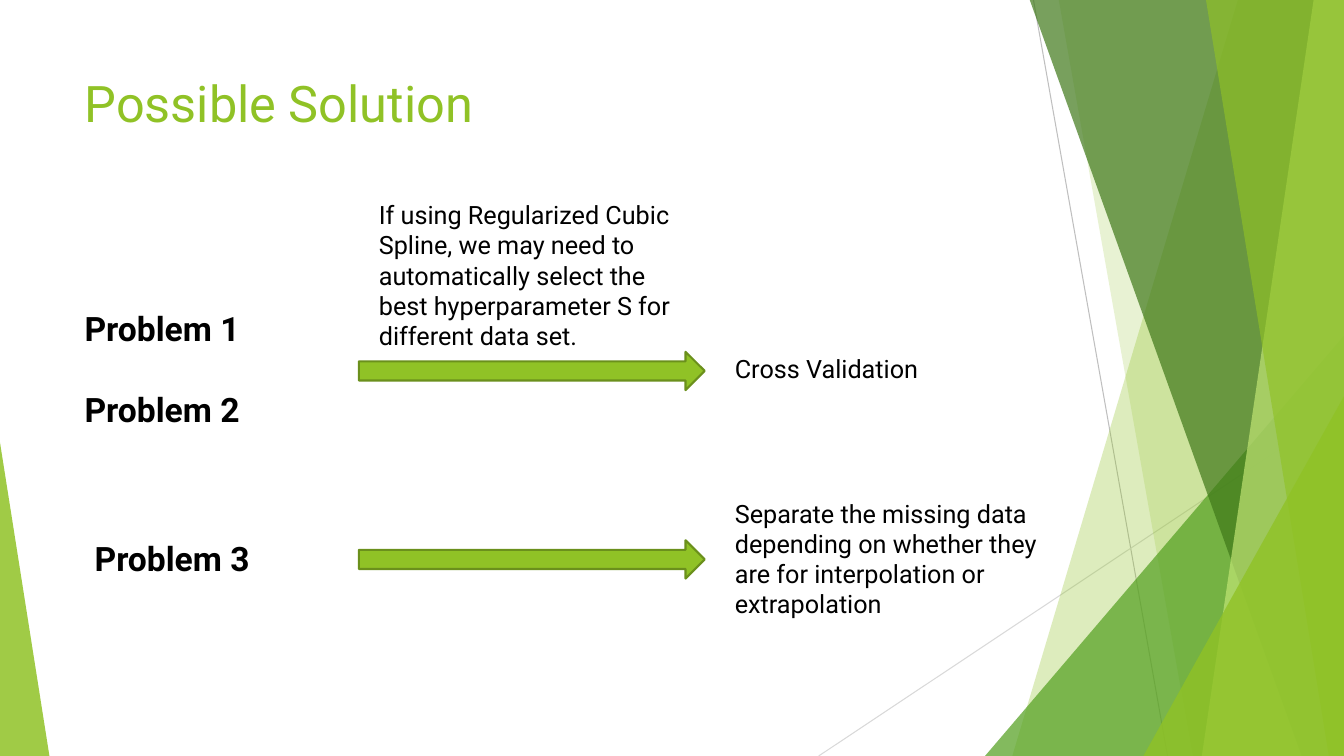
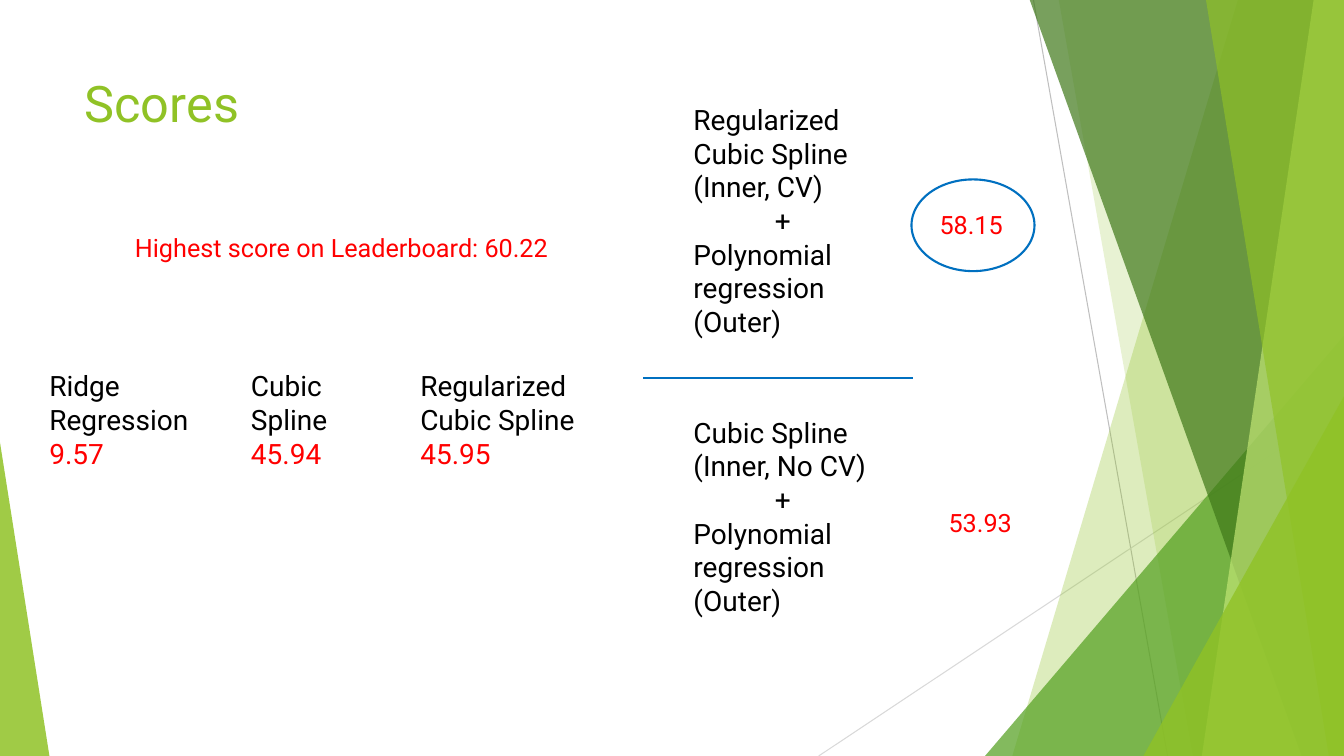
from lxml import etree
from pptx import Presentation
from pptx.dml.color import RGBColor
from pptx.enum.shapes import MSO_CONNECTOR, MSO_SHAPE
from pptx.enum.text import MSO_ANCHOR, MSO_AUTO_SIZE, PP_ALIGN
from pptx.oxml.ns import qn
from pptx.util import Inches, Pt

STRAIGHT = MSO_CONNECTOR.STRAIGHT
TRIANGLE, ARROW, OVAL = MSO_SHAPE.ISOSCELES_TRIANGLE, MSO_SHAPE.RIGHT_ARROW, MSO_SHAPE.OVAL
LEFT, CENTER = PP_ALIGN.LEFT, PP_ALIGN.CENTER
FONT = "Roboto"
LIME, DARK_LIME, BLACK, RED, BLUE = "90C226", "6B901C", "000000", "FF0000", "0070C0"
WIDTH, HEIGHT = 13.33, 7.5

color = RGBColor.from_string


def paint(shape, fill=None, opacity=100, line=None, width=1.5):
    """Fill and outline a shape or connector, without a shadow."""
    properties = shape.element.spPr
    if line:
        shape.line.color.rgb = color(line)
        shape.line.width = Pt(width)
    else:
        shape.line.fill.background()
    if fill:
        shape.fill.solid()
        shape.fill.fore_color.rgb = color(fill)
        if opacity < 100:
            tint = properties.find(qn("a:solidFill"))[0]
            etree.SubElement(tint, qn("a:alpha")).set("val", str(opacity * 1000))
    elif hasattr(shape, "fill"):
        shape.fill.background()
    etree.SubElement(properties, qn("a:effectLst"))


def write(box, lines, size, ink=BLACK, bold=False, wrap=True, gap=0):
    """Write one paragraph per line; a line is (text, colour or None, alignment)."""
    frame = box.text_frame
    settings = {"word_wrap": wrap, "auto_size": MSO_AUTO_SIZE.NONE,
                "vertical_anchor": MSO_ANCHOR.TOP}
    for name, value in settings.items():
        setattr(frame, name, value)
    for index, (text, line_ink, alignment) in enumerate(lines):
        para = frame.add_paragraph() if index else frame.paragraphs[0]
        para.alignment = alignment
        para.space_before = Pt(gap if index else 0)
        span = para.add_run()
        span.text = text
        for name, value in {"name": FONT, "size": Pt(size), "bold": bold}.items():
            setattr(span.font, name, value)
        span.font.color.rgb = color(line_ink or ink)


deck = Presentation()
deck.slide_width, deck.slide_height = Inches(WIDTH), Inches(HEIGHT)
layout = deck.slide_layouts[5]
title_frame = {"left": 0.74, "top": 0.67, "width": 9.4, "height": 1.44}
for name, value in title_frame.items():
    setattr(layout.placeholders[0], name, Inches(value))

solution = deck.slides.add_slide(layout)
scores = deck.slides.add_slide(layout)
for page, title in ((solution, "Possible Solution"), (scores, "Scores")):
    write(page.shapes.title, [(title, None, LEFT)], 36, LIME)

# Shared decoration: drawn in order, then moved to the layout
decoration = []
for start_x, start_y, end_x, end_y, gray in (
    (10.25, 0, 11.58, HEIGHT, "BFBFBF"),
    (WIDTH, 4.03, 8.12, HEIGHT, "D9D9D9"),
):
    ray = solution.shapes.add_connector(
        STRAIGHT, Inches(start_x), Inches(start_y), Inches(end_x), Inches(end_y))
    paint(ray, line=gray, width=0.75)
    decoration.append(ray)

# Bands reach the right edge: (top x, bottom x, fill, opacity)
# Triangles: (left, top, width, apex, fill, opacity)
for facet in (
    (12.28, 10.04, LIME, 30),
    (10.5, 11.83, LIME, 20),
    (9.77, 3.33, 3.56, 1, "54A021", 72),
    (10.21, 12.91, "3F7819", 70),
    (13.03, 11.92, "C0E474", 70),
    (11.96, 13.18, LIME, 65),
    (11.34, 3.93, 1.99, 1, LIME, 80),
    (0, 4.39, 0.49, 0, LIME, 85),
):
    *outline, fill, opacity = facet
    if len(outline) == 2:
        top_x, bottom_x = outline
        builder = solution.shapes.build_freeform(Inches(top_x), Inches(-0.01))
        corners = [(WIDTH, -0.01), (WIDTH, HEIGHT), (bottom_x, HEIGHT)]
        builder.add_line_segments([(Inches(x), Inches(y)) for x, y in corners], close=True)
        shape = builder.convert_to_shape()
    else:
        left, top, width, apex = outline
        shape = solution.shapes.add_shape(
            TRIANGLE, Inches(left), Inches(top), Inches(width), Inches(HEIGHT - top))
        shape.adjustments[0] = apex
    paint(shape, fill, opacity)
    decoration.append(shape)

for number, shape in enumerate(decoration, start=100):
    shape.element.xpath(".//p:cNvPr")[0].set("id", str(number))
    layout.shapes.element.append(shape.element)

# Possible Solution
for top in (3.49, 5.36):
    arrow = solution.shapes.add_shape(
        ARROW, Inches(3.56), Inches(top), Inches(3.43), Inches(0.38))
    paint(arrow, LIME, line=DARK_LIME)

for left, top, width, height, texts, size, bold in (
    (0.74, 3.01, 3.43, 1.31, ["Problem 1", "Problem 2"], 24, True),
    (0.84, 5.29, 3.43, 0.5, ["Problem 3"], 24, True),
    (3.66, 1.93, 3.24, 1.62,
     ["If using Regularized Cubic Spline, we may need to automatically select "
      "the best hyperparameter S for different data set."], 18, False),
    (7.19, 3.46, 2.84, 0.4, ["Cross Validation"], 18, False),
    (7.19, 4.89, 3.24, 1.31,
     ["Separate the missing data depending on whether they are for "
      "interpolation or extrapolation"], 18, False),
):
    box = solution.shapes.add_textbox(Inches(left), Inches(top), Inches(width), Inches(height))
    write(box, [(text, None, LEFT) for text in texts], size, bold=bold, gap=29)

# Scores
for left, width, model, score in (
    (0.39, 1.69, "Ridge Regression", "9.57"),
    (2.39, 1.69, "Cubic Spline", "45.94"),
    (4.07, 2.04, "Regularized Cubic Spline", "45.95"),
):
    box = scores.shapes.add_textbox(Inches(left), Inches(3.61), Inches(width), Inches(1.41))
    write(box, [(model, None, LEFT), (score, RED, LEFT)], 20)

for top, height, inner_model in (
    (0.97, 3.1, "Regularized Cubic Spline (Inner, CV)"),
    (4.07, 2.76, "Cubic Spline (Inner, No CV)"),
):
    box = scores.shapes.add_textbox(Inches(6.78), Inches(top), Inches(2.04), Inches(height))
    write(box, [(inner_model, None, LEFT), ("+ ", None, CENTER),
                ("Polynomial regression (Outer)", None, LEFT)], 20)

divider = scores.shapes.add_connector(
    STRAIGHT, Inches(6.38), Inches(3.75), Inches(9.06), Inches(3.75))
paint(divider, line=BLUE, width=1)

for left, top, width, text in (
    (9.22, 2.03, 0.83, "58.15"),
    (9.31, 4.98, 0.83, "53.93"),
    (1.24, 2.26, 4.36, "Highest score on Leaderboard: 60.22"),
):
    box = scores.shapes.add_textbox(Inches(left), Inches(top), Inches(width), Inches(0.4))
    write(box, [(text, None, LEFT)], 18, RED, wrap=False)

best_score_ring = scores.shapes.add_shape(
    OVAL, Inches(9.04), Inches(1.78), Inches(1.22), Inches(0.91))
paint(best_score_ring, line=BLUE)

deck.save("out.pptx")
